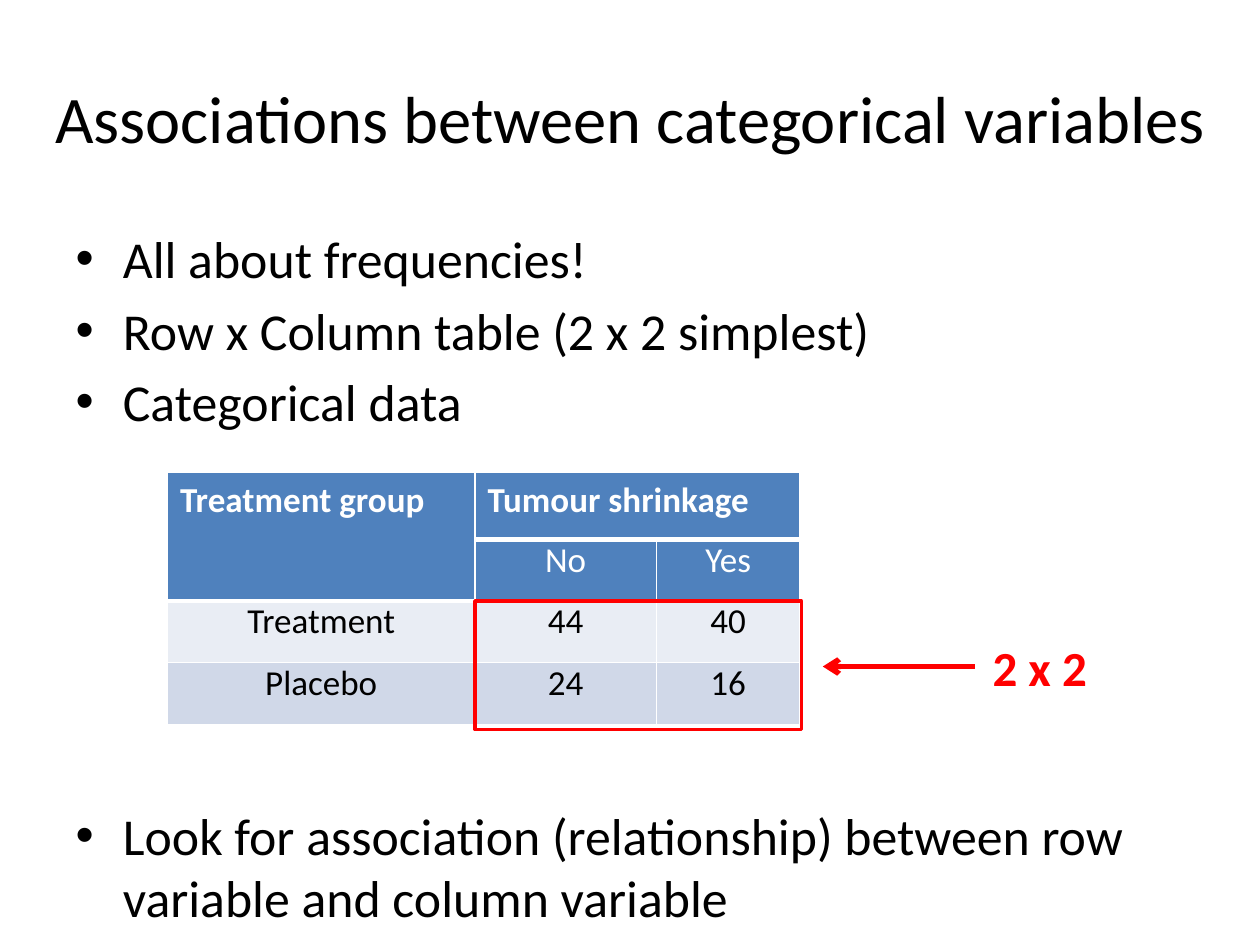
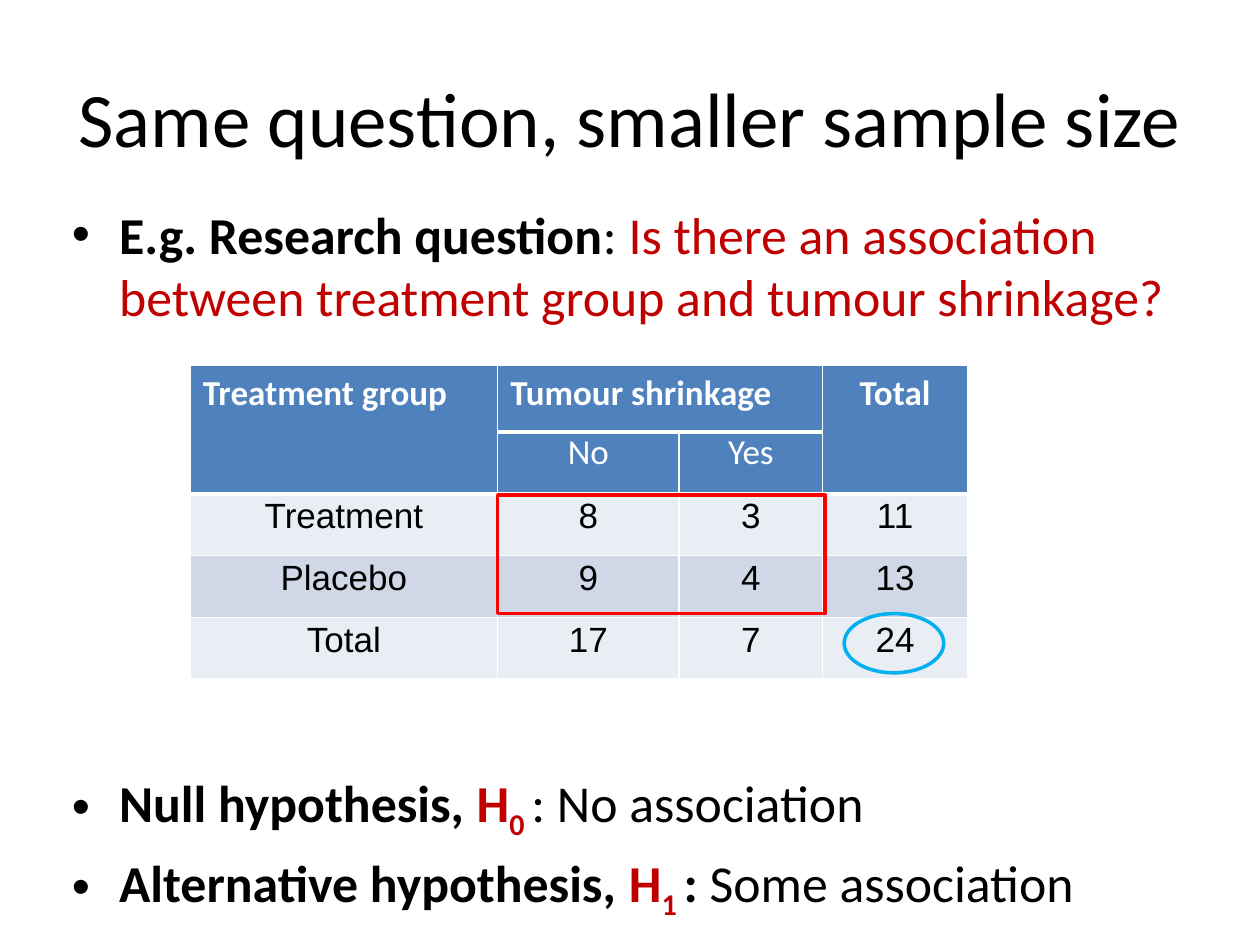
"""Two slides on associations between categorical variables."""
from lxml.etree import SubElement
from pptx import Presentation
from pptx.dml.color import RGBColor
from pptx.enum.shapes import MSO_CONNECTOR, MSO_SHAPE
from pptx.enum.text import MSO_ANCHOR, MSO_AUTO_SIZE, PP_ALIGN
from pptx.oxml.ns import qn
from pptx.util import Inches, Pt

BLACK = RGBColor(0x00, 0x00, 0x00)
WHITE = RGBColor(0xFF, 0xFF, 0xFF)
RED = RGBColor(0xFF, 0x00, 0x00)
DARK_RED = RGBColor(0xC0, 0x00, 0x00)
SKY = RGBColor(0x00, 0xB0, 0xF0)
HEADER_BLUE = RGBColor(0x4F, 0x81, 0xBD)
BANDS = [RGBColor(0xE9, 0xED, 0xF4), RGBColor(0xD0, 0xD8, 0xE8)]

FONT = "Calibri"
BODY_SIZE = 29.6
BODY_GAP = 5.3
COL_WIDTHS = [2.44, 1.44, 1.14, 1.15]
ROW_HEIGHTS = [0.53, 0.49]


def style(r, size, color=BLACK, bold=False, font=FONT):
    """Format one run."""
    r.font.name = font
    r.font.size = Pt(size)
    r.font.bold = bold
    r.font.color.rgb = color


def place(sp, left, top, width, height):
    """Move and size a shape."""
    sp.left, sp.top = Inches(left), Inches(top)
    sp.width, sp.height = Inches(width), Inches(height)


def add_slide(prs, title, size, box):
    """Add a slide with a formatted title."""
    s = prs.slides.add_slide(prs.slide_layouts[1])
    sp = s.shapes.title
    place(sp, *box)
    tf = sp.text_frame
    tf.text = title
    tf.auto_size = MSO_AUTO_SIZE.NONE
    style(tf.paragraphs[0].runs[0], size)
    return s


def fill_body(s, box, bullets):
    """Fill the body with (space before, runs) bullets."""
    sp = s.placeholders[1]
    place(sp, *box)
    tf = sp.text_frame
    tf.auto_size = MSO_AUTO_SIZE.NONE
    for i, (gap, runs) in enumerate(bullets):
        p = tf.paragraphs[0] if i == 0 else tf.add_paragraph()
        p.space_before = Pt(gap)
        for text, bold, color, *baseline in runs:
            r = p.add_run()
            r.text = text
            style(r, BODY_SIZE, color, bold)
            if baseline:
                r.font._element.set("baseline", str(baseline[0]))


def set_borders(cell, row):
    """Draw white cell borders, thick below the header rows."""
    tc_pr = cell._tc.get_or_add_tcPr()
    widths = {"L": 1, "R": 1, "T": 3 if row in (1, 2) else 1, "B": 3 if row < 2 else 1}
    for side, width in widths.items():
        ln = SubElement(tc_pr, qn(f"a:ln{side}"), w=str(Pt(width)))
        fill = SubElement(ln, qn("a:solidFill"))
        SubElement(fill, qn("a:srgbClr"), val=str(WHITE))


def fill_cell(cell, row, text, centred, font):
    """Write and format one table cell."""
    set_borders(cell, row)
    cell.fill.solid()
    cell.fill.fore_color.rgb = HEADER_BLUE if row < 2 else BANDS[row % 2]
    p = cell.text_frame.paragraphs[0]
    if row > 0:
        cell.vertical_anchor = MSO_ANCHOR.MIDDLE
        cell.margin_left = cell.margin_right = Inches(0.07)
        cell.margin_top = cell.margin_bottom = 0
        p.line_spacing = Pt(13)
    if centred:
        p.alignment = PP_ALIGN.CENTER
    if text:
        p.text = text
        color = WHITE if row < 2 else BLACK
        style(p.runs[0], 20, color, row == 0, FONT if row < 2 else font)


def add_frequency_table(s, left, top, rows, font=FONT):
    """Add a cross table with a two-row header."""
    n_rows, n_cols = len(rows), len(rows[0])
    heights = ROW_HEIGHTS[:1] + ROW_HEIGHTS[1:] * (n_rows - 1)
    widths = COL_WIDTHS[:n_cols]
    table = s.shapes.add_table(n_rows, n_cols, Inches(left), Inches(top),
                               Inches(sum(widths)), Inches(sum(heights))).table
    for col, width in zip(table.columns, widths):
        col.width = Inches(width)
    for row, height in zip(table.rows, heights):
        row.height = Inches(height)
    for i, row in enumerate(rows):
        for j, text in enumerate(row):
            fill_cell(table.cell(i, j), i, text, i > 0 or j == 3, font)
    table.cell(0, 1).merge(table.cell(0, 2))
    for j in range(0, n_cols, 3):
        table.cell(0, j).merge(table.cell(1, j))


def add_outline(s, kind, color, box):
    """Add an unfilled marker shape."""
    sp = s.shapes.add_shape(kind, *map(Inches, box))
    sp.shadow.inherit = False
    sp.fill.background()
    sp.line.color.rgb = color
    sp.line.width = Pt(2)


def add_label(s, text, box):
    """Add a bold red label."""
    tf = s.shapes.add_textbox(*map(Inches, box)).text_frame
    tf.word_wrap = True
    tf.text = text
    style(tf.paragraphs[0].runs[0], 28, RED, True)


def add_arrow(s, tip, tail, y):
    """Add a horizontal red arrow with its head at tip."""
    line = s.shapes.add_connector(MSO_CONNECTOR.STRAIGHT, Inches(tip), Inches(y),
                                  Inches(tail), Inches(y))
    line.line.color.rgb = RED
    line.line.width = Pt(3)
    SubElement(line.line._get_or_add_ln(), qn("a:headEnd"), type="arrow")
    SubElement(line._element.spPr, qn("a:effectLst"))


def build_associations(prs):
    """Build the slide that introduces the 2 x 2 table."""
    s = add_slide(prs, "Associations between categorical variables", 38,
                  (0.16, 0.3, 9.69, 1.25))
    bullets = [
        (BODY_GAP, "All about frequencies!"),
        (BODY_GAP, "Row x Column table (2 x 2 simplest)"),
        (BODY_GAP, "Categorical data"),
        (212.5, "Look for association (relationship) between row variable "
                "and column variable"),
    ]
    fill_body(s, (0.5, 1.75, 9, 5.47),
              [(gap, [(text, False, BLACK)]) for gap, text in bullets])
    add_frequency_table(s, 1.33, 3.75, [
        ["Treatment group", "Tumour shrinkage", ""],
        ["", "No", "Yes"],
        ["Treatment", "44", "40"],
        ["Placebo", "24", "16"],
    ])
    add_outline(s, MSO_SHAPE.RECTANGLE, RED, (3.77, 4.77, 2.59, 1.02))
    add_label(s, "2 x 2", (7.78, 5.01, 1.18, 0.57))
    add_arrow(s, 6.53, 7.74, 5.29)


def build_smaller_sample(prs):
    """Build the slide with the smaller sample and its hypotheses."""
    s = add_slide(prs, "Same question, smaller sample size", 44, (0.5, 0.3, 9, 1.25))
    fill_body(s, (0.47, 1.56, 9, 5.42), [
        (BODY_GAP, [("E.g. Research question", True, BLACK), (": ", False, BLACK),
                    ("Is there an association between treatment group and "
                     "tumour shrinkage?", False, DARK_RED)]),
        (253.5, [("Null hypothesis, ", True, BLACK), ("H", True, DARK_RED),
                 ("0 ", True, DARK_RED, -25000), (": No association", False, BLACK)]),
        (BODY_GAP, [("Alternative hypothesis, ", True, BLACK), ("H", True, DARK_RED),
                    ("1 ", True, DARK_RED, -25000), (": ", True, BLACK),
                    ("Some association", False, BLACK)]),
    ])
    add_frequency_table(s, 1.51, 2.9, [
        ["Treatment group", "Tumour shrinkage", "", "Total"],
        ["", "No", "Yes", ""],
        ["Treatment", "8", "3", "11"],
        ["Placebo", "9", "4", "13"],
        ["Total", "17", "7", "24"],
    ], "Arial")
    add_outline(s, MSO_SHAPE.RECTANGLE, RED, (3.95, 3.93, 2.6, 0.94))
    add_outline(s, MSO_SHAPE.OVAL, SKY, (6.7, 4.87, 0.79, 0.47))


def main():
    """Build and save the presentation."""
    prs = Presentation()
    prs.slide_width, prs.slide_height = Inches(10), Inches(7.5)
    build_associations(prs)
    build_smaller_sample(prs)
    prs.save("out.pptx")


if __name__ == "__main__":
    main()
